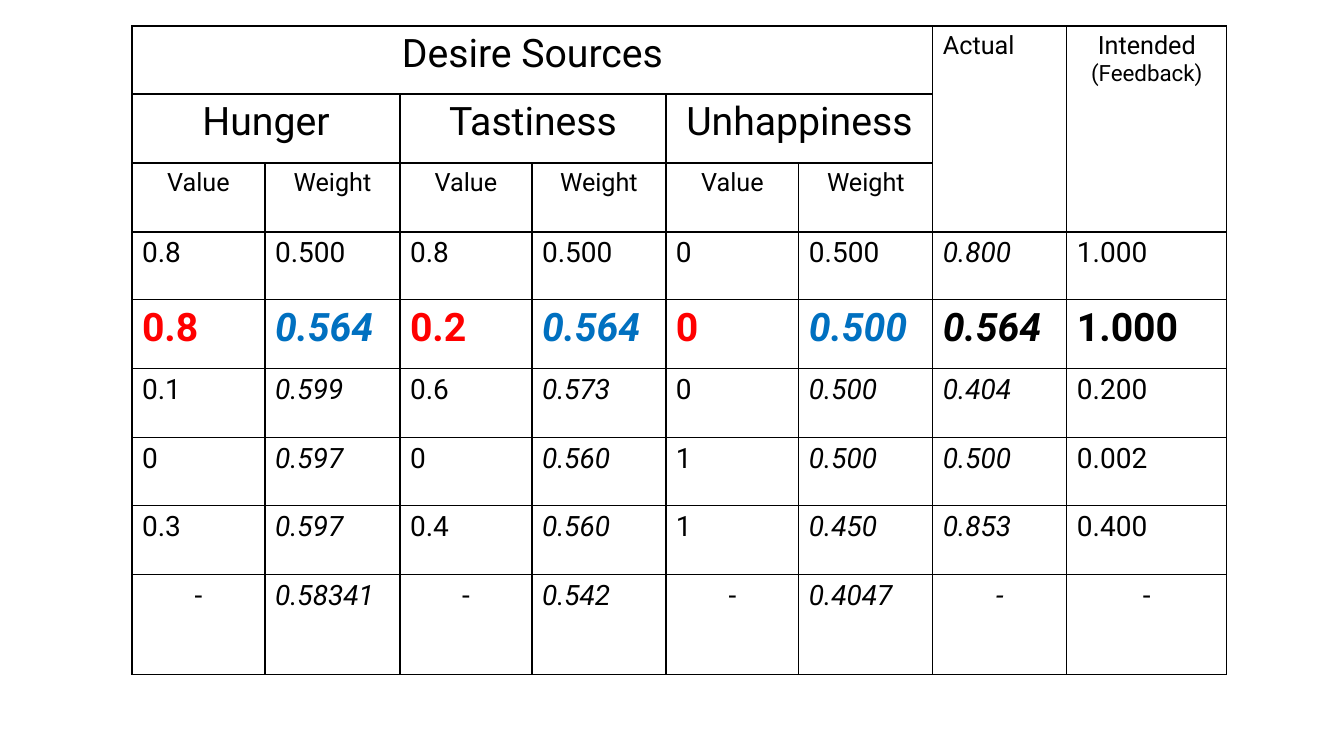
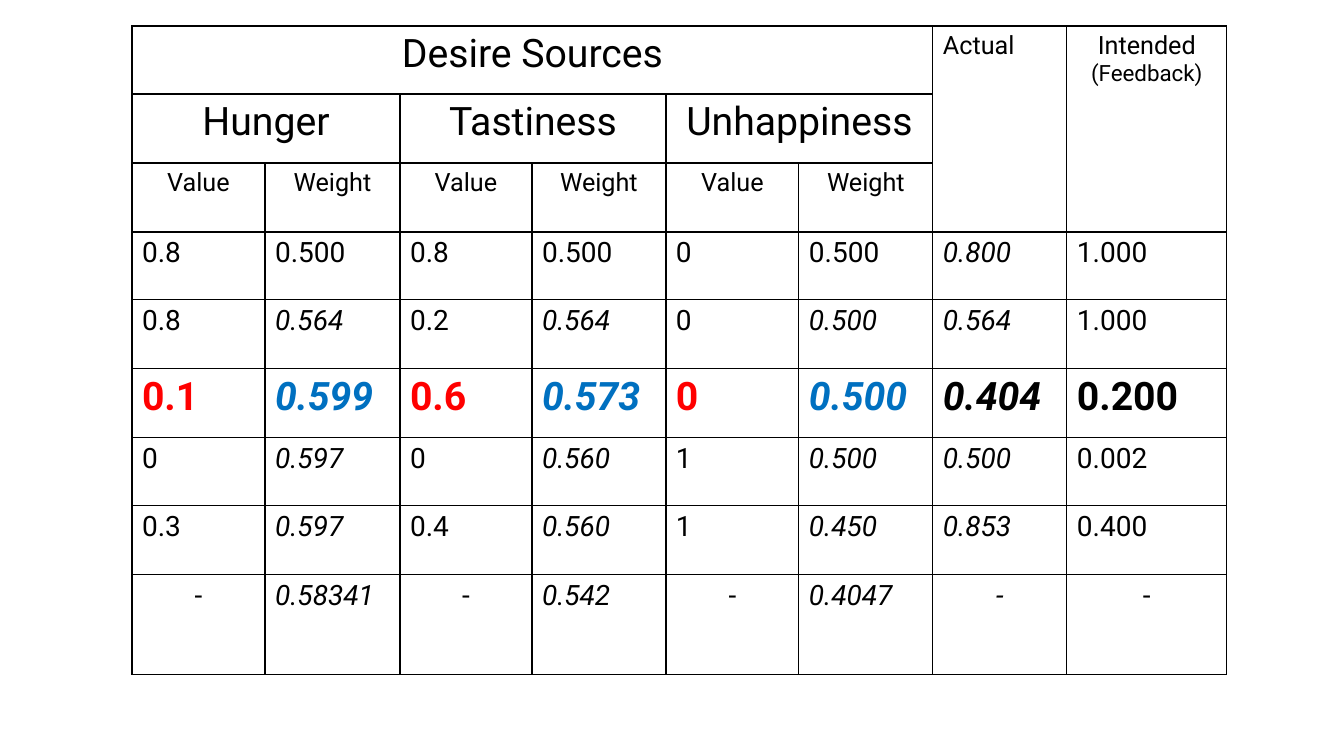
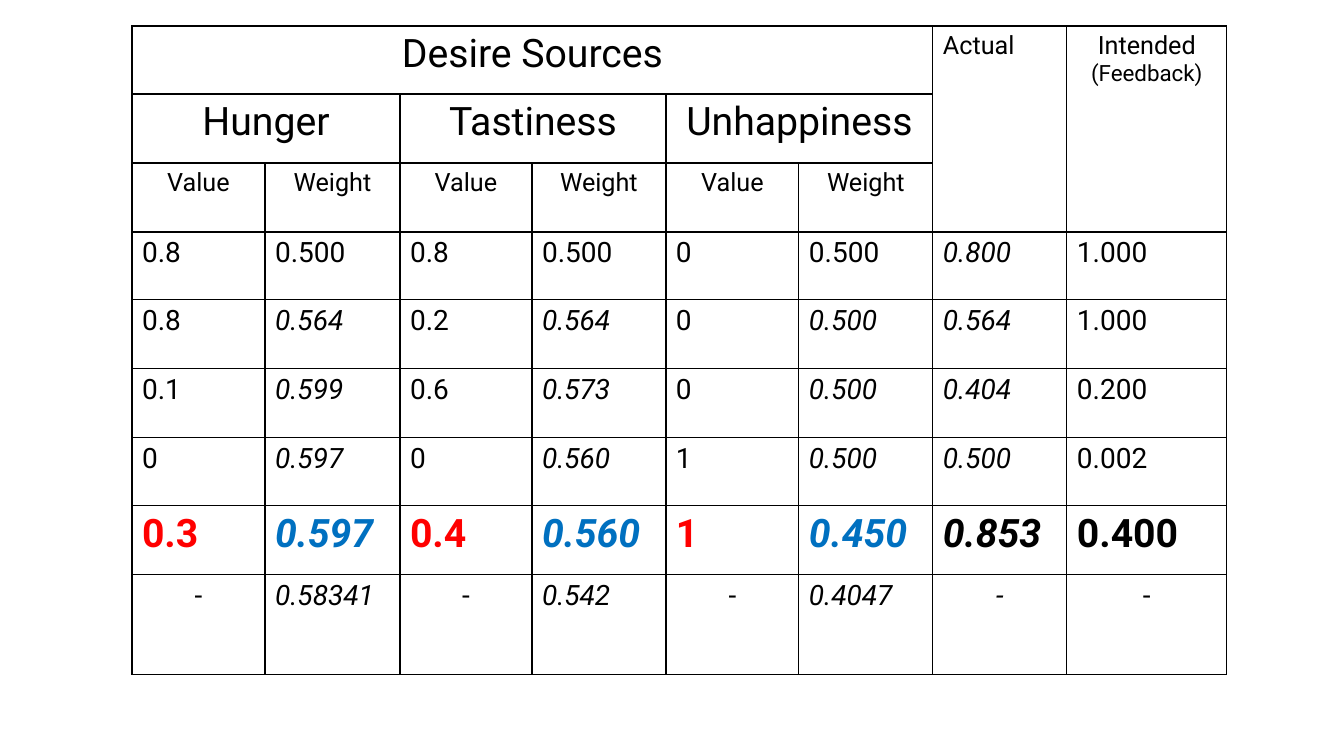
from dataclasses import dataclass

from lxml import etree
from pptx import Presentation
from pptx.dml.color import RGBColor
from pptx.enum.text import PP_ALIGN
from pptx.oxml.ns import qn
from pptx.util import Emu, Pt

LEFT = PP_ALIGN.LEFT
CENTER = PP_ALIGN.CENTER

EMU_PER_PX = 914400 / 100.8
SLIDE_SIZE = (1344, 756)
TABLE_ORIGIN = (132, 26)
COLUMN_WIDTHS = (133, 135, 132, 134, 133, 134, 134, 160)
ROW_HEIGHTS = (68, 69, 69, 68, 69, 69, 68, 69, 100)
FONT = "Roboto"
COLORS = {"text": "000000", "border": "000000", "value": "FF0000", "weight": "0070C0"}
BORDER_WIDTH = Pt(1)
EDGES = {"a:lnL": (0, -1), "a:lnR": (0, 1), "a:lnT": (-1, 0), "a:lnB": (1, 0)}

HEADER_ROWS = 3
VALUE_COLUMNS = (0, 2, 4)
WEIGHT_COLUMNS = (1, 3, 5)
ACTUAL_COLUMN = 6
TRIALS = (
    ("0.8", "0.500", "0.8", "0.500", "0", "0.500", "0.800", "1.000"),
    ("0.8", "0.564", "0.2", "0.564", "0", "0.500", "0.564", "1.000"),
    ("0.1", "0.599", "0.6", "0.573", "0", "0.500", "0.404", "0.200"),
    ("0", "0.597", "0", "0.560", "1", "0.500", "0.500", "0.002"),
    ("0.3", "0.597", "0.4", "0.560", "1", "0.450", "0.853", "0.400"),
    ("-", "0.58341", "-", "0.542", "-", "0.4047", "-", "-"),
)
HIGHLIGHTED_TRIALS = (1, 2, 4)


@dataclass(frozen=True)
class TextStyle:
    size: int
    align: PP_ALIGN = CENTER
    color: str = "text"
    bold: bool = False
    italic: bool = False


@dataclass(frozen=True)
class Heading:
    row: int
    column: int
    lines: tuple
    styles: tuple
    rows: int = 1
    columns: int = 1


GROUP = TextStyle(28)
LABEL = TextStyle(18)
SMALL_LABEL = TextStyle(16)
HEADINGS = (
    Heading(0, 0, ("Desire Sources",), (GROUP,), columns=6),
    Heading(0, 6, ("Actual",), (TextStyle(18, LEFT),), rows=3),
    Heading(0, 7, ("Intended", "(Feedback)"), (LABEL, SMALL_LABEL), rows=3),
    *(
        Heading(1, column, (name,), (GROUP,), columns=2)
        for column, name in zip(VALUE_COLUMNS, ("Hunger", "Tastiness", "Unhappiness"))
    ),
    *(Heading(2, column, ("Value",), (LABEL,)) for column in VALUE_COLUMNS),
    *(Heading(2, column, ("Weight",), (LABEL,)) for column in WEIGHT_COLUMNS),
)


def px(length: int) -> Emu:
    return Emu(round(length * EMU_PER_PX))


def write_cell(cell, lines: tuple, styles: tuple) -> None:
    cell.text_frame.text = "\n".join(lines)
    for para, style in zip(cell.text_frame.paragraphs, styles):
        para.alignment = style.align
        for span in para.runs:
            span.font.name = FONT
            span.font.size = Pt(style.size)
            span.font.bold = style.bold
            span.font.italic = style.italic
            span.font.color.rgb = RGBColor.from_string(COLORS[style.color])


def trial_style(trial: int, column: int, highlighted: bool) -> TextStyle:
    is_weight = column in WEIGHT_COLUMNS
    color = "text"
    if highlighted and is_weight:
        color = "weight"
    elif highlighted and column in VALUE_COLUMNS:
        color = "value"
    return TextStyle(
        size=28 if highlighted else 20,
        align=CENTER if TRIALS[trial][column] == "-" else LEFT,
        color=color,
        bold=highlighted,
        italic=column == ACTUAL_COLUMN or (is_weight and trial > 0),
    )


def find_region(row: int, column: int) -> tuple:
    for heading in HEADINGS:
        if (
            heading.row <= row < heading.row + heading.rows
            and heading.column <= column < heading.column + heading.columns
        ):
            return heading.row, heading.column
    return row, column


def draw_borders(cell, row: int, column: int) -> None:
    properties = cell._tc.get_or_add_tcPr()
    region = find_region(row, column)
    for position, (tag, (down, across)) in enumerate(EDGES.items()):
        line = etree.Element(qn(tag), w=str(BORDER_WIDTH))
        if find_region(row + down, column + across) == region:
            etree.SubElement(line, qn("a:noFill"))
        else:
            fill = etree.SubElement(line, qn("a:solidFill"))
            etree.SubElement(fill, qn("a:srgbClr"), val=COLORS["border"])
        properties.insert(position, line)


def add_trial_table(page, highlighted_trial: int) -> None:
    frame = page.shapes.add_table(
        len(ROW_HEIGHTS),
        len(COLUMN_WIDTHS),
        *(px(length) for length in TABLE_ORIGIN),
        px(sum(COLUMN_WIDTHS)),
        px(sum(ROW_HEIGHTS)),
    )
    table = frame.table
    table.first_row = False
    table.horz_banding = False
    for table_column, width in zip(table.columns, COLUMN_WIDTHS):
        table_column.width = px(width)
    for row, height in enumerate(ROW_HEIGHTS):
        table.rows[row].height = px(height)
        for column in range(len(COLUMN_WIDTHS)):
            cell = table.cell(row, column)
            cell.fill.background()
            draw_borders(cell, row, column)
    for heading in HEADINGS:
        cell = table.cell(heading.row, heading.column)
        if heading.rows > 1 or heading.columns > 1:
            last_row = heading.row + heading.rows - 1
            last_column = heading.column + heading.columns - 1
            cell.merge(table.cell(last_row, last_column))
        write_cell(cell, heading.lines, heading.styles)
    for trial, figures in enumerate(TRIALS):
        for column, figure in enumerate(figures):
            style = trial_style(trial, column, trial == highlighted_trial)
            write_cell(table.cell(HEADER_ROWS + trial, column), (figure,), (style,))


def main() -> None:
    deck = Presentation()
    deck.slide_width, deck.slide_height = (px(length) for length in SLIDE_SIZE)
    blank_layout = deck.slide_layouts.get_by_name("Blank")
    for highlighted_trial in HIGHLIGHTED_TRIALS:
        add_trial_table(deck.slides.add_slide(blank_layout), highlighted_trial)
    deck.save("out.pptx")


if __name__ == "__main__":
    main()
